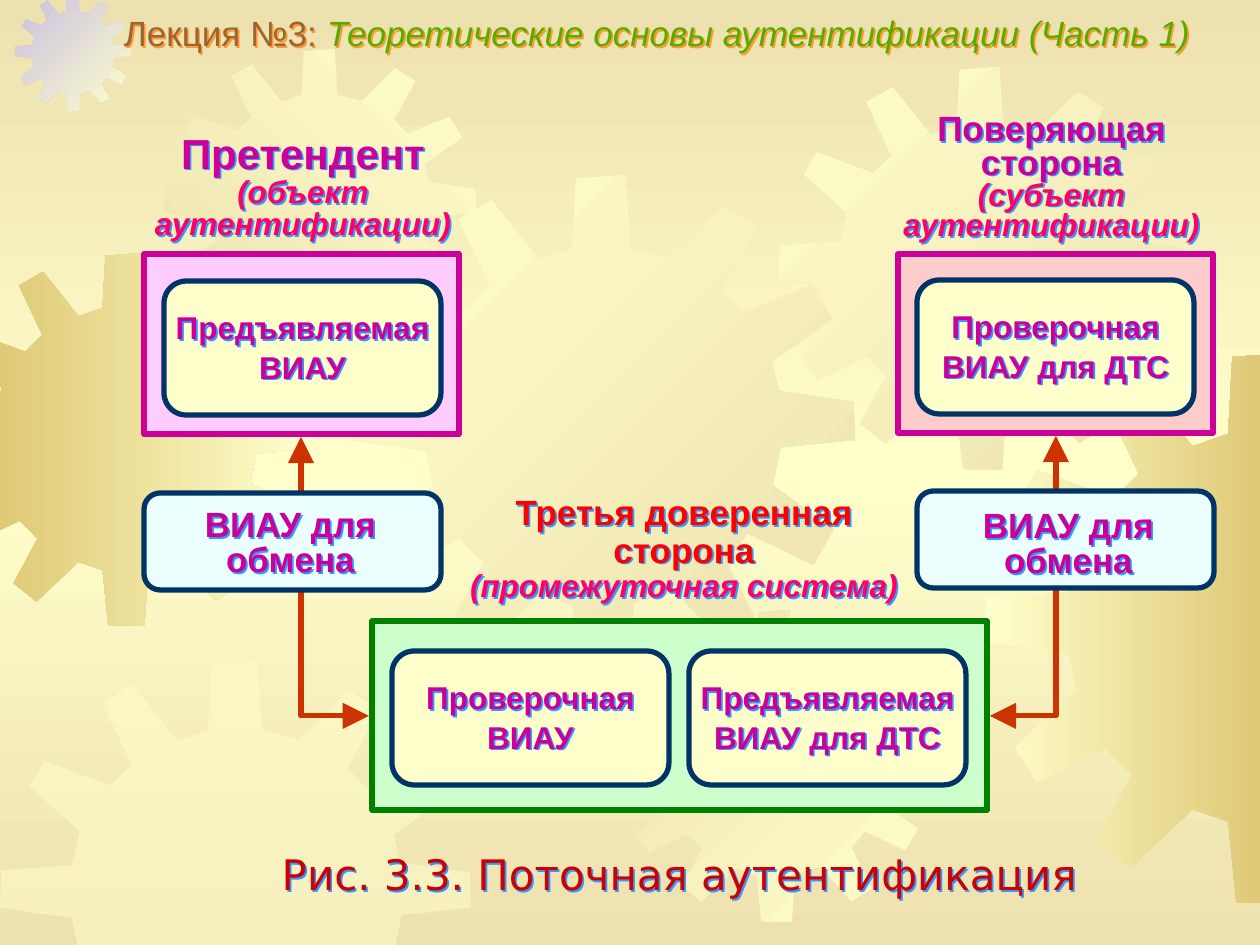
"""Build the slide on stream authentication with its gear backdrop."""
from copy import deepcopy
from dataclasses import dataclass
from typing import Optional, Union

from lxml.etree import SubElement as Sub
from pptx import Presentation
from pptx.dml.color import RGBColor as Rgb
from pptx.enum.shapes import MSO_CONNECTOR as Link, MSO_SHAPE as Kind
from pptx.enum.text import MSO_ANCHOR as Anchor, MSO_AUTO_SIZE as Auto, PP_ALIGN as Align
from pptx.oxml.ns import qn
from pptx.util import Emu, Pt

SCALE = 914400 / 126
WIDE, HIGH = 1260, 945
HUES = {
    "sand": "EDE1AF", "cream": "FFFFCC", "gold": "DFC977", "lilac": "CAC0E2",
    "red": "CC0000", "bright": "FF0000", "brown": "996633", "leaf": "56AC00",
    "rust": "CC3300", "plum": "CC0099", "rose": "FF0066", "pink": "FFCCFF",
    "salmon": "FFCCCC", "navy": "003366", "mint": "CCFFCC", "green": "008000",
    "ice": "EBFFFF", "blue": "3399FF", "orange": "FF9933",
}
SPAN = 401
TEETH = [
    (255, 67), (223, 59), (219, 0), (180, 3), (177, 59), (151, 68), (113, 20), (87, 35),
    (112, 88), (94, 106), (38, 85), (25, 107), (68, 145), (61, 174), (1, 178), (0, 210),
    (61, 219), (67, 246), (22, 287), (38, 312), (88, 288), (107, 307), (81, 355), (106, 375),
    (151, 332), (177, 341), (183, 400), (222, 401), (226, 339), (259, 330), (299, 374), (325, 358),
    (299, 306), (316, 284), (368, 309), (384, 281), (336, 246), (342, 216), (401, 210), (400, 180),
    (341, 171), (335, 148), (383, 114), (367, 87), (313, 109), (296, 91), (323, 41), (297, 25),
]


@dataclass
class Gear:
    left: int
    top: int
    size: int
    first: str
    last: Optional[str] = None
    angle: int = 0


@dataclass
class Box:
    left: int
    top: int
    width: int
    height: int
    fill: str
    edge: str
    weight: float = 3
    kind: Kind = Kind.ROUNDED_RECTANGLE


@dataclass
class Line:
    text: str
    size: int = 18
    hue: str = "plum"
    bold: bool = True
    slant: bool = False
    face: str = "Arial"


@dataclass
class Label:
    left: int
    top: int
    width: int
    height: int
    lines: list[Line]
    space: Union[float, Pt] = 1.04
    middle: bool = False
    align: Align = Align.CENTER
    shade: str = "blue"


def px(*marks: float) -> list[Emu]:
    return [Emu(round(mark * SCALE)) for mark in marks]


def rgb(name: str) -> Rgb:
    return Rgb.from_string(HUES[name])


def blend(fill, first: str, last: str, angle: int) -> None:
    fill.gradient()
    fill.gradient_angle = -angle % 360
    for stop, name in zip(fill.gradient_stops, (first, last)):
        stop.color.rgb = rgb(name)


def clip(points: list, axis: int, edge: int, sign: int) -> list:
    kept = []
    for one, two in zip(points, points[1:] + points[:1]):
        start, end = sign * (one[axis] - edge), sign * (two[axis] - edge)
        if start >= 0:
            kept.append(one)
        if start * end < 0:
            part = start / (start - end)
            kept.append(tuple(a + part * (b - a) for a, b in zip(one, two)))
    return kept


def draw_gear(shapes, gear: Gear) -> None:
    ratio = gear.size / SPAN
    points = [(gear.left + x * ratio, gear.top + y * ratio) for x, y in TEETH]
    for axis, edge, sign in ((0, 0, 1), (0, WIDE, -1), (1, 0, 1), (1, HIGH, -1)):
        points = clip(points, axis, edge, sign)
    spots = [px(*point) for point in points]
    path = shapes.build_freeform(*spots[0])
    path.add_line_segments(spots[1:], close=True)
    shape = path.convert_to_shape()
    shape.shadow.inherit = False
    shape.line.fill.background()
    if gear.last:
        blend(shape.fill, gear.first, gear.last, gear.angle)
    else:
        shape.fill.solid()
        shape.fill.fore_color.rgb = rgb(gear.first)
        tint = shape.element.spPr.find(".//" + qn("a:srgbClr"))
        Sub(tint, qn("a:alpha"), val="50000")


def draw_box(shapes, box: Box) -> None:
    shape = shapes.add_shape(box.kind, *px(box.left, box.top, box.width, box.height))
    shape.shadow.inherit = False
    shape.fill.solid()
    shape.fill.fore_color.rgb = rgb(box.fill)
    shape.line.color.rgb = rgb(box.edge)
    shape.line.width = Pt(box.weight)


def draw_link(shapes, start: tuple, end: tuple) -> None:
    link = shapes.add_connector(Link.ELBOW, *px(*start, *end))
    link.line.color.rgb = rgb("rust")
    link.line.width = Pt(3)
    props = link.element.spPr
    props.find(qn("a:prstGeom")).set("prst", "bentConnector2")
    for tip in ("a:headEnd", "a:tailEnd"):
        Sub(props.find(qn("a:ln")), qn(tip), type="triangle", w="lg", len="lg")
    Sub(props, qn("a:effectLst"))


def style(run, line: Line) -> None:
    font = run.font
    font.name, font.size = line.face, Pt(line.size)
    font.bold, font.italic = line.bold, line.slant
    font.color.rgb = rgb(line.hue)


def draw_label(shapes, label: Label):
    shape = shapes.add_textbox(*px(label.left, label.top, label.width, label.height))
    frame = shape.text_frame
    frame.word_wrap = True
    frame.auto_size = Auto.SHAPE_TO_FIT_TEXT
    frame.margin_left = frame.margin_right = frame.margin_top = frame.margin_bottom = 0
    frame.vertical_anchor = Anchor.MIDDLE if label.middle else Anchor.TOP
    frame.text = "\n".join(line.text for line in label.lines)
    for para, line in zip(frame.paragraphs, label.lines):
        para.alignment, para.line_spacing = label.align, label.space
        style(para.runs[0], line)
    cast = Sub(Sub(shape.element.spPr, qn("a:effectLst")), qn("a:outerShdw"),
               dist="18000", dir="2700000", algn="ctr", rotWithShape="0")
    Sub(cast, qn("a:srgbClr"), val=HUES[label.shade])
    return frame


def main() -> None:
    deck = Presentation()
    deck.slide_width, deck.slide_height = px(WIDE, HIGH)
    slide = deck.slides.add_slide(deck.slide_layouts[6])
    shapes = slide.shapes
    blend(slide.background.fill, "sand", "cream", 90)
    stops = slide.element.find(".//" + qn("a:gsLst"))
    stops.append(deepcopy(stops[0]))
    for stop, pos in zip(stops, (0, 50000, 100000)):
        stop.set("pos", str(pos))

    for gear in (
        Gear(-62, 253, 373, "gold", "cream"), Gear(15, -5, 116, "lilac", "cream", 45),
        Gear(164, 49, 312, "sand", "cream", 315), Gear(349, 175, 506, "cream", "sand", 45),
        Gear(0, 661, 471, "cream"), Gear(619, 610, 312, "sand", "cream", 45),
        Gear(779, 67, 403, "cream", "sand", 45), Gear(985, 353, 551, "cream", "gold"),
    ):
        draw_gear(shapes, gear)

    draw_link(shapes, (990, 716), (1056, 436))
    draw_link(shapes, (369, 716), (301, 437))
    cards = [(164, 281, "Предъявляемая ВИАУ"), (917, 280, "Проверочная\nВИАУ для ДТС"),
             (392, 651, "Проверочная\nВИАУ"), (689, 651, "Предъявляемая\nВИАУ для ДТС")]
    swaps = [(144, 493, 152, 509), (917, 491, 930, 510)]
    for box in [
        Box(144, 254, 315, 180, "pink", "plum", 3.25, Kind.RECTANGLE),
        Box(898, 254, 315, 179, "salmon", "plum", 3.25, Kind.RECTANGLE),
        Box(372, 621, 615, 189, "mint", "green", 3.25, Kind.RECTANGLE),
        *(Box(x, y, 277, 134, "cream", "navy") for x, y, _ in cards),
        *(Box(x, y, 297, 97, "ice", "navy") for x, y, _, _ in swaps),
    ]:
        draw_box(shapes, box)

    for label in [
        Label(134, 849, 1091, 50, [Line("Рис. 3.3. Поточная аутентификация", 24, "red", False,
                                       face="DejaVu Sans")], 1.0, True),
        Label(144, 135, 318, 107, [Line("Претендент", 24),
              Line("(объект аутентификации)", hue="rose", slant=True)], 0.85),
        Label(898, 115, 307, 127, [Line("Поверяющая сторона", 20),
              Line("(субъект аутентификации)", hue="rose", slant=True)], 0.8, True),
        Label(441, 495, 486, 110, [Line("Третья доверенная", 20, "bright"),
              Line("сторона", 20, "bright"),
              Line("(промежуточная система)", hue="rose", slant=True)], 0.9),
        *(Label(x, y + 26, 277, 78, [Line(part) for part in text.split("\n")])
          for x, y, text in cards),
        *(Label(x, y, 277, 71, [Line("ВИАУ для обмена", 20)], Pt(20), True)
          for _, _, x, y in swaps),
    ]:
        draw_label(shapes, label)

    title = draw_label(shapes, Label(124, 16, 1136, 39, [Line("Лекция №3: ", 20, "brown", False)],
                                     0.9, True, Align.LEFT, "orange"))
    topic = Line("Теоретические основы аутентификации (Часть 1)", 20, "leaf", False, True)
    run = title.paragraphs[0].add_run()
    run.text = topic.text
    style(run, topic)
    deck.save("out.pptx")


if __name__ == "__main__":
    main()
